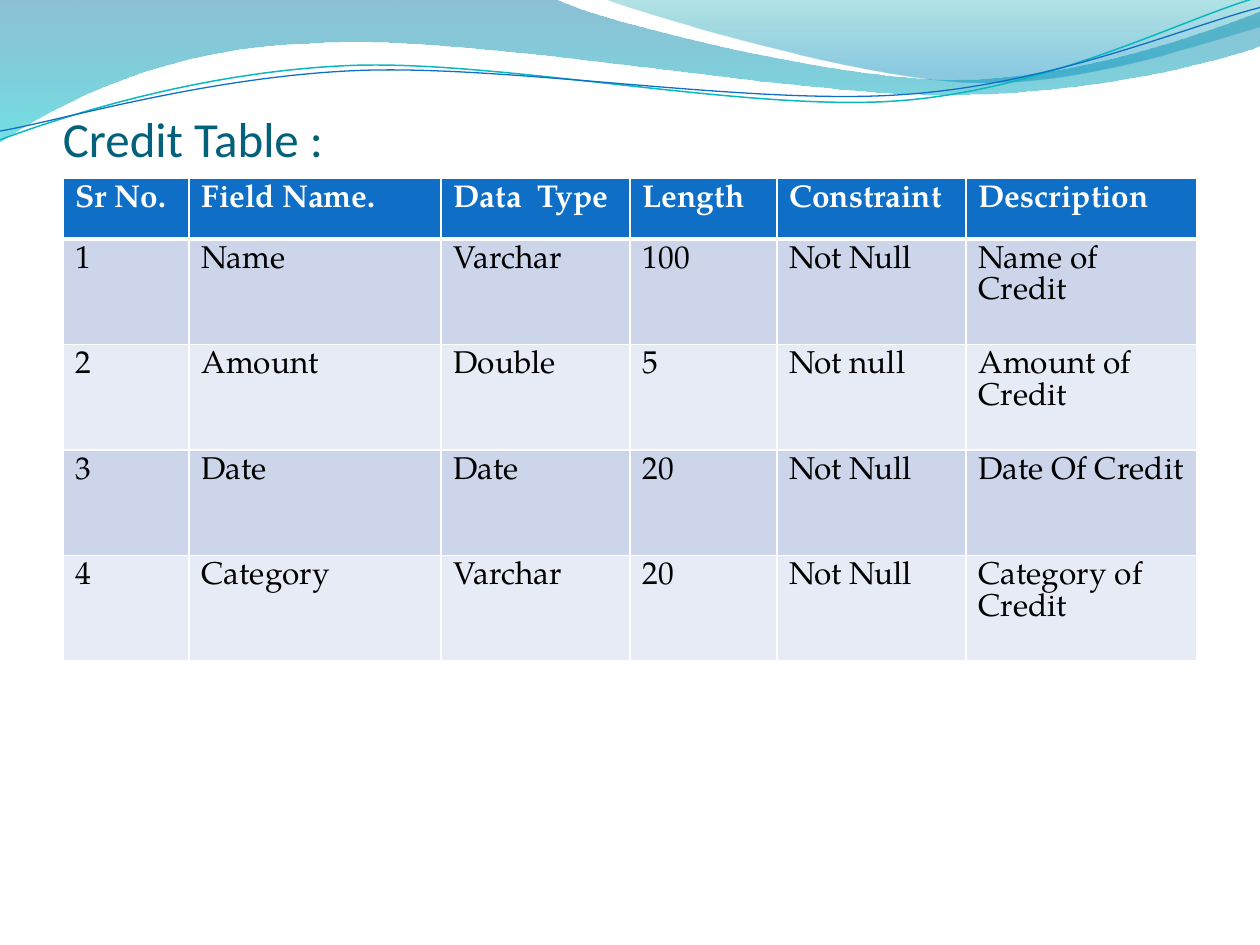
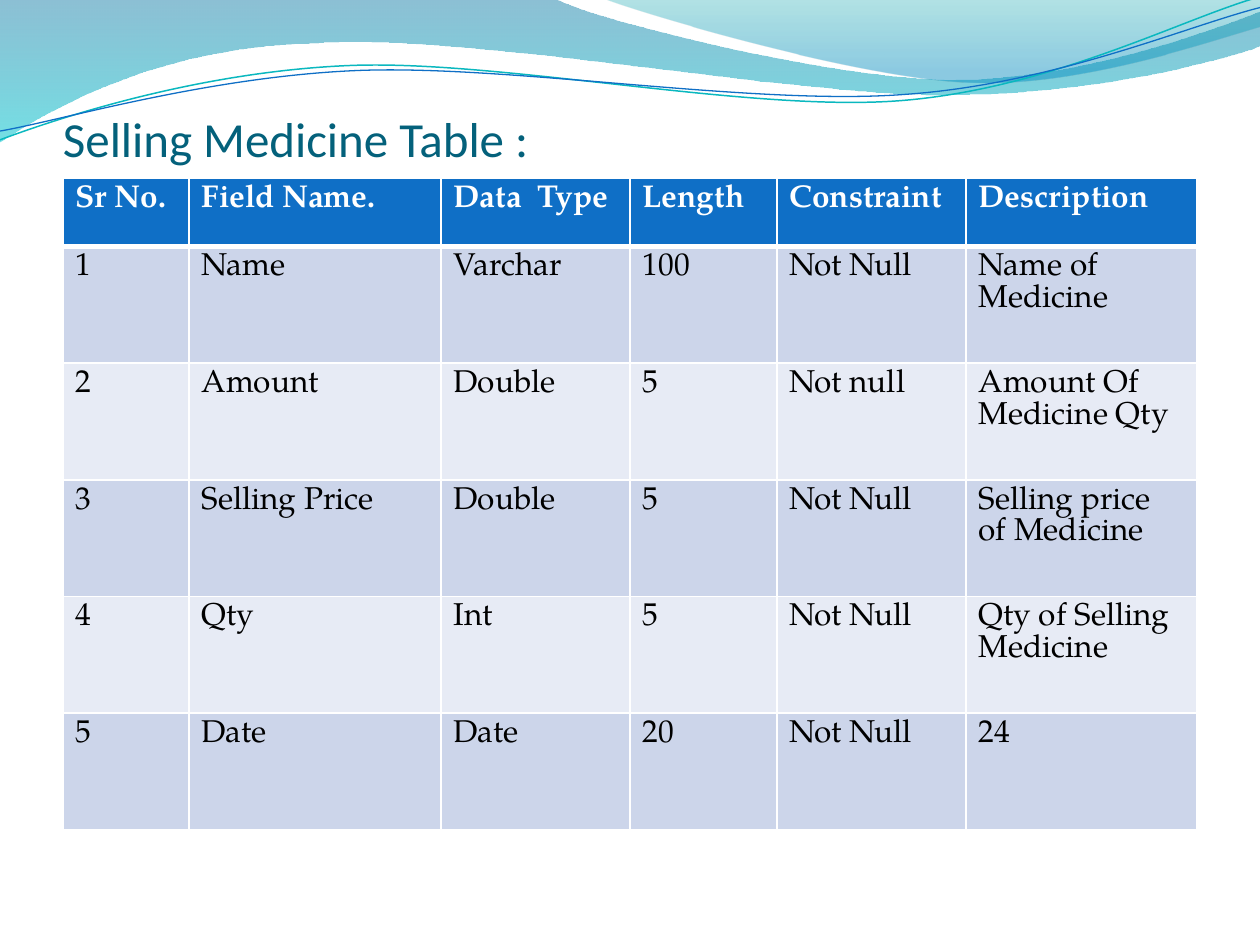
import math

from lxml import etree
from pptx import Presentation
from pptx import util as u
from pptx.dml.color import RGBColor
from pptx.enum import text
from pptx.oxml import ns

BLUE = RGBColor(0x0F, 0x6F, 0xC6)
TEAL = RGBColor(0x0A, 0xB8, 0xBF)
TITLE_COLOR = RGBColor(0x04, 0x61, 0x7B)
WHITE = RGBColor(0xFF, 0xFF, 0xFF)
BLACK = RGBColor(0x00, 0x00, 0x00)
BANDS = [RGBColor(0xCC, 0xD5, 0xEA), RGBColor(0xE7, 0xEB, 0xF5)]

TITLE_FONT = {"name": "Calibri", "size": u.Pt(28), "bold": False}
HEADER_FONT = {"name": "TeX Gyre Pagella", "size": u.Pt(18), "bold": True}
BODY_FONT = {**HEADER_FONT, "bold": False}
TITLE_FRAME = {
    "word_wrap": True, "vertical_anchor": text.MSO_ANCHOR.BOTTOM,
    "margin_left": 0, "margin_right": 0,
    "margin_top": u.Inches(0.05), "margin_bottom": 0,
}

# Wave outlines in inches: a pair is a line's end, six numbers are a Bezier curve.
# Gradient stops: position, colour, opacity in percent
FILLED_WAVES = [
    ([(0, 0), (4.4, -0.01),
      (4.76, 0.17, 6.64, 0.63, 7.58, 0.63), (8.53, 0.63, 9.58, 0.26, 10, 0.09),
      (10.01, 0.36),
      (9.83, 0.44, 8.7, 0.76, 7.46, 0.75), (6.22, 0.75, 3.82, 0.28, 2.57, 0.34),
      (1.29, 0.36, 0.46, 0.83, -0.01, 1.13), (0, 0)],
     [(0, RGBColor(0x00, 0x74, 0xA1), 45), (1, RGBColor(0x00, 0xC6, 0xCF), 55)]),
    ([(4.79, -0.01),
      (5.09, 0.11, 6.82, 0.62, 7.69, 0.65), (8.56, 0.69, 9.61, 0.32, 10, 0.21),
      (10, 0), (4.79, -0.01)],
     [(0, RGBColor(0x00, 0xA1, 0xA9), 30), (0.8, RGBColor(0x00, 0x8B, 0xBF), 45)]),
]
LINE_WAVES = [
    ([(0, 1.11), (0.48, 0.93, 1.58, 0.57, 2.77, 0.52),
      (3.95, 0.47, 5.93, 0.89, 7.13, 0.8), (8.33, 0.71, 9.38, 0.15, 9.98, -0.02)],
     TEAL, 0.85),
    ([(0, 1.04), (0.47, 0.96, 1.64, 0.61, 2.83, 0.56),
      (4.03, 0.51, 5.97, 0.84, 7.17, 0.75), (8.36, 0.67, 9.41, 0.21, 10, 0.06)],
     BLUE, 0.75),
]
LINE_TILT = -2.7
LINE_CENTER = (4.99, 0.58)

COLUMN_WIDTHS = [1, 2, 1.5, 7 / 6, 1.5, 11 / 6]
HEADERS = ["Sr No.", "Field Name.", "Data  Type", "Length", "Constraint", "Description"]
# Title, table height, header height, fields
TABLES = [
    ("Credit Table :", 3.83, 0.48, [
        ["Name", "Varchar", "100", "Not Null", "Name of Credit"],
        ["Amount", "Double", "5", "Not null", "Amount of Credit"],
        ["Date", "Date", "20", "Not Null", "Date Of Credit"],
        ["Category", "Varchar", "20", "Not Null", "Category of Credit"],
    ]),
    ("Selling Medicine Table :", 5.17, 0.54, [
        ["Name", "Varchar", "100", "Not Null", "Name of Medicine"],
        ["Amount", "Double", "5", "Not null", "Amount Of Medicine Qty"],
        ["Selling Price", "Double", "5", "Not Null", "Selling price of Medicine"],
        ["Qty", "Int", "5", "Not Null", "Qty of Selling Medicine"],
        ["Date", "Date", "20", "Not Null", "24"],
    ]),
]


def draw_wave(slide, outline, close, tilt=0):
    # Turn the points back by the tilt, which the shape's rotation then restores
    cosine, sine = math.cos(math.radians(-tilt)), math.sin(math.radians(-tilt))
    center_x, center_y = LINE_CENTER
    points = []
    for piece in outline:
        for x, y in zip(piece[::2], piece[1::2]):
            dx, dy = x - center_x, y - center_y
            points.append((u.Inches(center_x + dx * cosine - dy * sine),
                           u.Inches(center_y + dx * sine + dy * cosine)))
    builder = slide.shapes.build_freeform(*points[0])
    builder.add_line_segments(points[1:], close=close)
    shape = builder.convert_to_shape()
    shape.shadow.inherit = False
    shape.rotation = tilt

    # Join each three control points into one Bezier segment
    segments = iter(shape.element.spPr.findall(".//" + ns.qn("a:lnTo")))
    for piece in outline[1:]:
        segment = next(segments)
        if len(piece) == 6:
            curve = etree.Element(ns.qn("a:cubicBezTo"))
            segment.addprevious(curve)
            for control in (segment, next(segments), next(segments)):
                curve.append(control[0])
                control.getparent().remove(control)
    return shape


def write(frame, content, font_format, color):
    run = frame.paragraphs[0].add_run()
    run.text = content
    for name, value in font_format.items():
        setattr(run.font, name, value)
    run.font.color.rgb = color


presentation = Presentation()
presentation.slide_width = u.Inches(10)
presentation.slide_height = u.Inches(7.5)

for title, table_height, header_height, fields in TABLES:
    slide = presentation.slides.add_slide(presentation.slide_layouts[6])

    # Wave band at the top
    for outline, stops in FILLED_WAVES:
        shape = draw_wave(slide, outline, True)
        shape.line.fill.background()
        shape.fill.gradient()
        shape.fill.gradient_angle = 270
        for stop, (position, color, _) in zip(shape.fill.gradient_stops, stops):
            stop.position = position
            stop.color.rgb = color
        colors = shape.element.spPr.findall(".//" + ns.qn("a:srgbClr"))
        for element, (_, _, opacity) in zip(colors, stops):
            etree.SubElement(element, ns.qn("a:alpha"), val=str(opacity * 1000))
    for outline, color, width in LINE_WAVES:
        shape = draw_wave(slide, outline, False, LINE_TILT)
        shape.fill.background()
        shape.line.color.rgb = color
        shape.line.width = u.Pt(width)

    # Title
    shape = slide.shapes.add_textbox(
        u.Inches(0.5), u.Inches(0.77), u.Inches(9), u.Inches(0.56))
    for name, value in TITLE_FRAME.items():
        setattr(shape.text_frame, name, value)
    write(shape.text_frame, title, TITLE_FONT, TITLE_COLOR)

    # Field table
    rows = [HEADERS] + [[str(number), *field] for number, field in enumerate(fields, 1)]
    row_height = (table_height - header_height) / len(fields)
    table = slide.shapes.add_table(
        len(rows), len(HEADERS), u.Inches(0.5), u.Inches(17 / 12),
        u.Inches(9), u.Inches(table_height)).table
    for column, width in zip(table.columns, COLUMN_WIDTHS):
        column.width = u.Inches(width)
    for row_index, row in enumerate(rows):
        is_header = row_index == 0
        table.rows[row_index].height = u.Inches(header_height if is_header else row_height)
        fill = BLUE if is_header else BANDS[(row_index - 1) % 2]
        # The rule below the header is thicker than the others
        borders = {"L": 1, "R": 1, "T": 3 if row_index == 1 else 1, "B": 3 if is_header else 1}
        for column_index, content in enumerate(row):
            cell = table.cell(row_index, column_index)
            write(cell.text_frame, content, HEADER_FONT if is_header else BODY_FONT,
                  WHITE if is_header else BLACK)
            properties = cell._tc.get_or_add_tcPr()
            for side, width in borders.items():
                line = etree.SubElement(properties, ns.qn("a:ln" + side), w=str(u.Pt(width)))
                solid = etree.SubElement(line, ns.qn("a:solidFill"))
                etree.SubElement(solid, ns.qn("a:srgbClr"), val=str(WHITE))
            cell.fill.solid()
            cell.fill.fore_color.rgb = fill

presentation.save("out.pptx")
